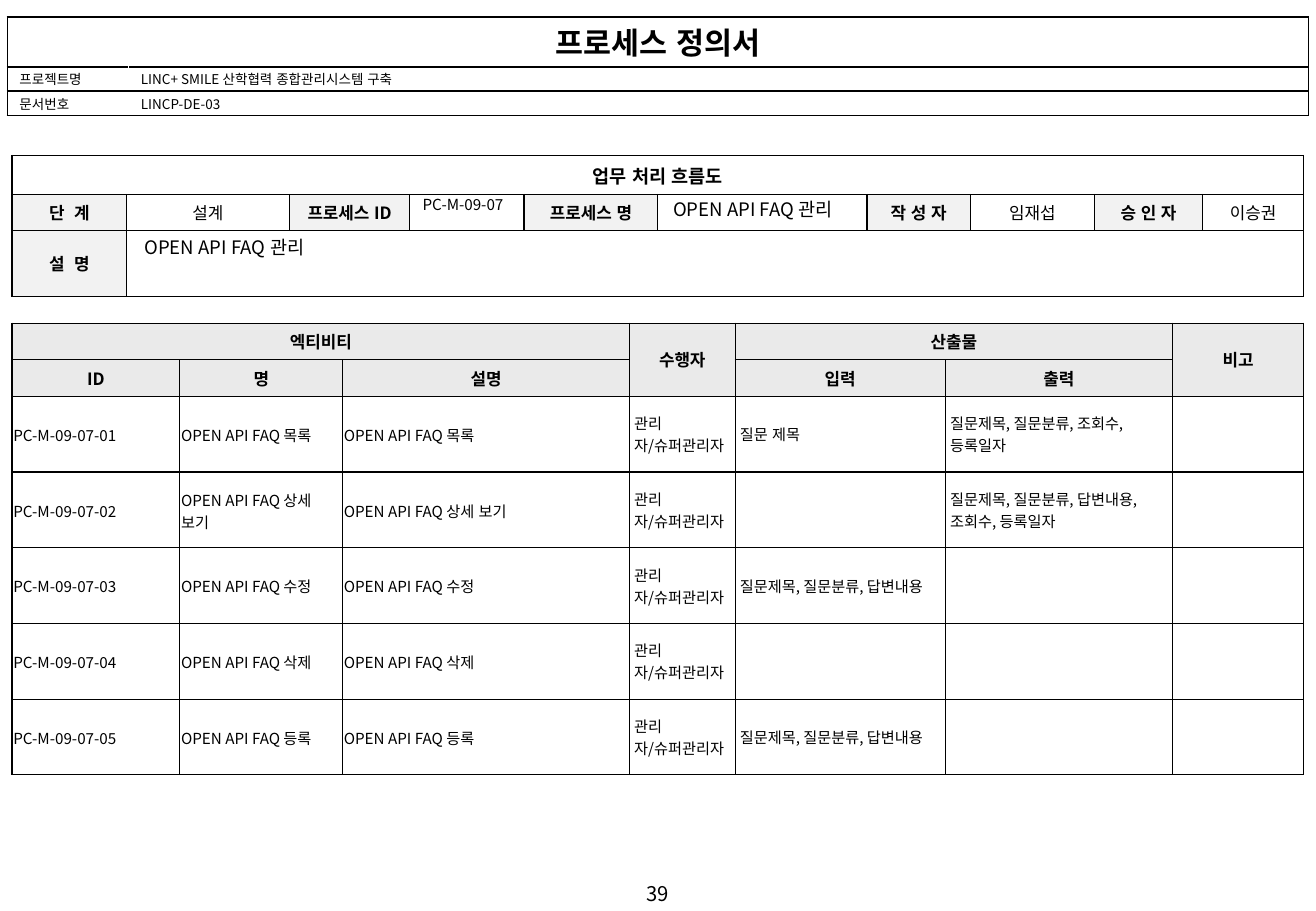
from dataclasses import dataclass
from lxml.etree import SubElement
from pptx import Presentation
from pptx.dml.color import RGBColor
from pptx.enum.lang import MSO_LANGUAGE_ID
from pptx.enum.text import MSO_ANCHOR, PP_ALIGN
from pptx.oxml.ns import qn
from pptx.util import Inches, Pt


@dataclass(frozen=True)
class Theme:
    """Colours, type sizes and line widths of the form."""
    font: str = "Noto Sans CJK KR"
    ink: str = "000000"
    paper: str = "FFFFFF"
    label: str = "F2F2F2"
    head: str = "EAEAEA"
    title: float = 18
    page: float = 12
    lead: float = 11
    term: float = 10
    body: float = 9
    small: float = 8
    thick: float = 1
    thin: float = 0.75


LOOK = Theme()
WIDE, TALL = 10.83, 7.5
PAD = (0.1, 0.05, 0.1, 0.05)
FLAT = (0.1, 0.02, 0.1, 0.02)
SNUG = (0.01, 0.01, 0.01, 0)
EVEN = (0.04,) * 4
FORM_COLS = (0.94, 1.34, 0.99, 0.94, 1.1, 1.72, 0.85, 1.02, 0.89, 0.83)
FORM_ROWS = (0.32, 0.3, 0.54)
TASK_COLS = (1.38, 1.34, 2.36, 0.87, 1.73, 1.87, 1.08)
TASK_ROWS = (0.3,) * 2 + (0.62,) * 5
FIELDS = ("단  계", "설계", "프로세스 ID", "", "프로세스 명", "",
          "작 성 자", "임재섭", "승 인 자", "이승권")
ASK = "질문제목, 질문분류, 답변내용"
TASKS = (("목록", "질문 제목", "질문제목, 질문분류, 조회수, 등록일자"),
         ("상세 보기", "", ASK + ", 조회수, 등록일자"),
         ("수정", ASK, ""),
         ("삭제", "", ""),
         ("등록", ASK, ""))


def write(para, text, size, bold=False, mid=False):
    """Set one paragraph's text and format its runs."""
    para.text = text
    para.alignment = PP_ALIGN.CENTER if mid else PP_ALIGN.LEFT
    for run in para.runs:
        font = run.font
        font.size, font.bold, font.name = Pt(size), bold, LOOK.font
        font.color.rgb = RGBColor.from_string(LOOK.ink)
        font.language_id = MSO_LANGUAGE_ID.KOREAN
        SubElement(run._r.rPr, qn("a:ea"), typeface=LOOK.font)
    if not text:
        SubElement(para._p, qn("a:endParaRPr"), sz=str(int(size * 100)))


def edge(cell, lines):
    """Draw left, right, top and bottom borders from (colour, width) pairs."""
    props = cell._tc.get_or_add_tcPr()
    for side, (tone, width) in zip("LRTB", lines):
        line = SubElement(props, qn("a:ln" + side), w=str(Pt(width)))
        fill = SubElement(line, qn("a:solidFill"))
        SubElement(fill, qn("a:srgbClr"), val=tone)


def dress(cell, text, size, lines, pad=PAD, fill=None, bold=False,
          mid=False, high=False):
    """Give a cell its text, borders, fill and margins."""
    edge(cell, lines)
    if fill:
        cell.fill.solid()
        cell.fill.fore_color.rgb = RGBColor.from_string(fill)
    else:
        cell.fill.background()
    (cell.margin_left, cell.margin_top,
     cell.margin_right, cell.margin_bottom) = map(Inches, pad)
    cell.vertical_anchor = MSO_ANCHOR.TOP if high else MSO_ANCHOR.MIDDLE
    write(cell.text_frame.paragraphs[0], text, size, bold, mid)


def grid(slide, box, cols, rows):
    """Add a plain table whose columns and rows share the box."""
    frame = slide.shapes.add_table(len(rows), len(cols), *map(Inches, box))
    table = frame.table
    table.first_row = table.horz_banding = False
    for col, size in zip(table.columns, cols):
        col.width = Inches(box[2] * size / sum(cols))
    for row, size in zip(table.rows, rows):
        row.height = Inches(box[3] * size / sum(rows))
    return table


def join(table, top, left, low, right):
    """Merge a block of cells."""
    table.cell(top, left).merge(table.cell(low, right))


def note(slide, box, text, size, mid=False):
    """Place one line of free text."""
    frame = slide.shapes.add_textbox(*map(Inches, box)).text_frame
    frame.word_wrap = True
    write(frame.paragraphs[0], text, size, mid=mid)


def banner(slide, box):
    """Build the document title block."""
    table = grid(slide, box, (1, 9.72), (0.41, 0.2, 0.2))
    ink, gap = (LOOK.ink, LOOK.thick), (LOOK.paper, LOOK.thick)
    texts = (("프로세스 정의서", ""),
             ("프로젝트명", "LINC+ SMILE 산학협력 종합관리시스템 구축"),
             ("문서번호", "LINCP-DE-03"))
    for r, pair in enumerate(texts):
        for c, text in enumerate(pair):
            top = r == 0
            sides = (ink, ink) if top else (gap, ink) if c else (ink, gap)
            dress(table.cell(r, c), text, LOOK.title if top else LOOK.small,
                  (*sides, ink, ink), FLAT, LOOK.paper, top, top, True)
    join(table, 0, 0, 0, 1)


def form(slide, box):
    """Build the process form with its free-text entries."""
    table = grid(slide, box, FORM_COLS, FORM_ROWS)
    last, low = len(FORM_COLS) - 1, len(FORM_ROWS) - 1
    rest = ("",) * last
    for r, row in enumerate((("업무 처리 흐름도", *rest), FIELDS,
                             ("설  명", *rest))):
        for c, text in enumerate(row):
            tag = r == 1 and c % 2 == 0 or r == low and c == 0
            outer = (c == 0 or r == 0, c == last or r == 0, r == 0, r == low)
            lines = [(LOOK.ink, LOOK.thick if out else LOOK.thin)
                     for out in outer]
            dress(table.cell(r, c), text, LOOK.lead if r == 0 else LOOK.term,
                  lines, PAD, LOOK.label if tag else LOOK.paper,
                  tag or r == 0, True)
    join(table, 0, 0, 0, last)
    join(table, low, 1, low, last)
    for r, c, dx, dy, wide, high, text, size in (
            (1, 3, 0.01, -0.04, 0.93, 0.25, "PC-M-09-07", LOOK.body),
            (1, 5, 0.03, -0.02, 1.71, 0.29, "OPEN API FAQ 관리", LOOK.lead),
            (2, 1, 0.05, -0.01, 9.53, 0.29, "OPEN API FAQ 관리", LOOK.lead)):
        left = box[0] + sum(FORM_COLS[:c]) + dx
        top = box[1] + sum(FORM_ROWS[:r]) + dy
        note(slide, (left, top, wide, high), text, size)


def tasks(slide, box):
    """Build the activity table."""
    table = grid(slide, box, TASK_COLS, TASK_ROWS)
    heads = [("엑티비티", "", "", "수행자", "산출물", "", "비고"),
             ("ID", "명", "설명", "", "입력", "출력", "")]
    rows = [(f"PC-M-09-07-{n:02}", f"OPEN API FAQ {name}",
             f"OPEN API FAQ {name}", "관리자/슈퍼관리자", given, result, "")
            for n, (name, given, result) in enumerate(TASKS, 1)]
    thin = (LOOK.ink, LOOK.thin)
    for r, row in enumerate(heads + rows):
        for c, text in enumerate(row):
            top = r < len(heads)
            lines = ((LOOK.ink, LOOK.thick) if c == 0 else thin,) + (thin,) * 3
            pad = PAD if top else SNUG if c < 3 else EVEN
            dress(table.cell(r, c), text, LOOK.term if top else LOOK.body,
                  lines, pad, LOOK.head if top else None, top, top)
    for block in ((0, 0, 0, 2), (0, 3, 1, 3), (0, 4, 0, 5), (0, 6, 1, 6)):
        join(table, *block)


def main():
    """Build and save the slide."""
    deck = Presentation()
    deck.slide_width, deck.slide_height = Inches(WIDE), Inches(TALL)
    slide = deck.slides.add_slide(deck.slide_layouts[6])
    note(slide, (0, 7.21, WIDE, 0.3), "39", LOOK.page, True)
    banner(slide, (0.06, 0.14, 10.71, 0.81))
    form(slide, (0.1, 1.28, 10.63, 1.16))
    tasks(slide, (0.1, 2.66, 10.63, 3.72))
    deck.save("out.pptx")


if __name__ == "__main__":
    main()
